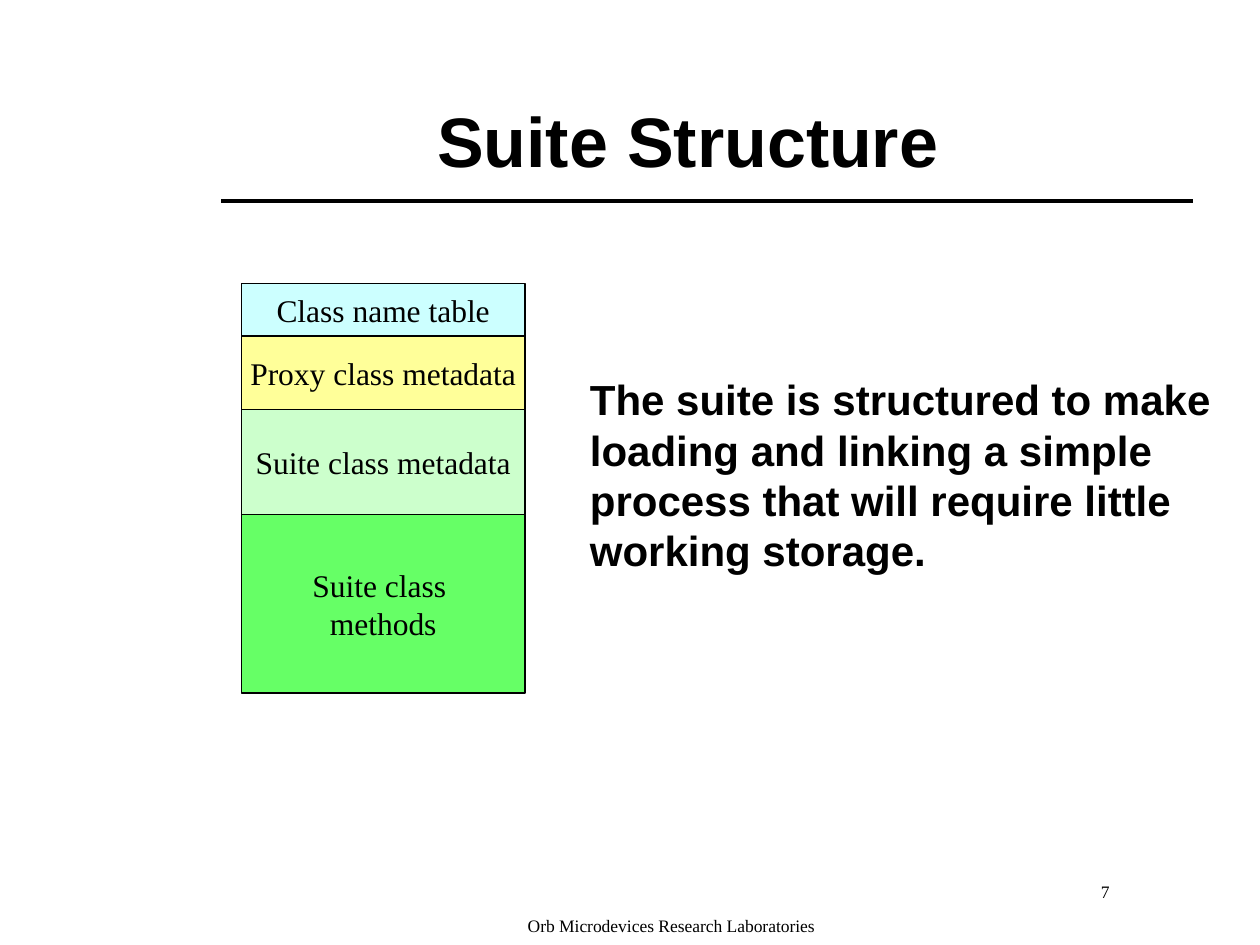
from lxml import etree
from pptx import Presentation
from pptx.dml.color import RGBColor
from pptx.enum.shapes import MSO_CONNECTOR, MSO_SHAPE
from pptx.enum.text import MSO_ANCHOR, MSO_AUTO_SIZE, PP_ALIGN
from pptx.oxml.ns import qn
from pptx.util import Pt

STRAIGHT = MSO_CONNECTOR.STRAIGHT
RECTANGLE = MSO_SHAPE.RECTANGLE
MIDDLE = MSO_ANCHOR.MIDDLE
FIT_TEXT = MSO_AUTO_SIZE.SHAPE_TO_FIT_TEXT
CENTER, LEFT = PP_ALIGN.CENTER, PP_ALIGN.LEFT
TITLE_ONLY = 5
SANS, SERIF = "Arial", "Times New Roman"
BLACK = "000000"

SECTIONS = [
    ("Class name table", 30, "CCFFFF"),
    ("Proxy class metadata", 42, "FFFF99"),
    ("Suite class metadata", 60, "CCFFCC"),
    ("Suite class \nmethods", 102, "66FF66"),
]


def color(hex_string):
    """Turn a hex string into a colour."""
    return RGBColor.from_string(hex_string)


def write(frame, text, font_name, size, bold=False, align=LEFT, spacing=1.0):
    """Fill a text frame with uniformly formatted paragraphs."""
    frame.text = text
    for paragraph in frame.paragraphs:
        paragraph.alignment = align
        paragraph.line_spacing = spacing
        paragraph.font.name = font_name
        paragraph.font.size = Pt(size)
        paragraph.font.bold = bold
        paragraph.font.color.rgb = color(BLACK)


def add_text(slide, box, text, font_name, size, wrap, **style):
    """Add a text box that fits its text."""
    frame = slide.shapes.add_textbox(*map(Pt, box)).text_frame
    frame.word_wrap = wrap
    frame.auto_size = FIT_TEXT
    write(frame, text, font_name, size, **style)


def add_heading(slide, box, text):
    """Place the title and the rule across its lower part."""
    left, top, width, height = box
    title = slide.shapes.title
    title.left, title.top, title.width, title.height = map(Pt, box)
    title.text_frame.vertical_anchor = MIDDLE
    write(title.text_frame, text, SANS, 40, bold=True, align=CENTER, spacing=0.8)
    rule_y = top + 85
    rule = slide.shapes.add_connector(
        STRAIGHT, Pt(left + 6.5), Pt(rule_y), Pt(left + width + 16), Pt(rule_y))
    rule.line.color.rgb = color(BLACK)
    rule.line.width = Pt(2)
    etree.SubElement(rule._element.spPr, qn("a:effectLst"))


def add_suite_stack(slide, left, top, width):
    """Stack the sections of the suite from top to bottom."""
    for text, height, fill in SECTIONS:
        section = slide.shapes.add_shape(
            RECTANGLE, Pt(left), Pt(top), Pt(width), Pt(height))
        section.shadow.inherit = False
        section.fill.solid()
        section.fill.fore_color.rgb = color(fill)
        section.line.color.rgb = color(BLACK)
        section.line.width = Pt(0.75)
        section.text_frame.word_wrap = False
        section.text_frame.vertical_anchor = MIDDLE
        write(section.text_frame, text, SERIF, 18, align=CENTER)
        top += height


def add_footer(slide, left, top):
    """Place the laboratory name and the page number."""
    add_text(slide, (left, top + 19.5, 183, 18.7),
             "Orb Microdevices Research Laboratories", SERIF, 10, False, spacing=0.95)
    add_text(slide, (left + 327.5, top, 56, 18.7), "7", SERIF, 10, False, spacing=0.95)


def main():
    """Build the slide and save it."""
    deck = Presentation()
    deck.slide_width, deck.slide_height = Pt(720), Pt(540)
    slide = deck.slides.add_slide(deck.slide_layouts[TITLE_ONLY])
    add_heading(slide, (120, 30, 546, 108), "Suite Structure")
    add_suite_stack(slide, 138, 162, 162)
    add_text(slide, (330, 210, 372, 122.5),
             "The suite is structured to make loading and linking a simple "
             "process that will require little working storage.",
             SANS, 24, True, bold=True)
    add_footer(slide, 294.5, 501)
    deck.save("out.pptx")


if __name__ == "__main__":
    main()
